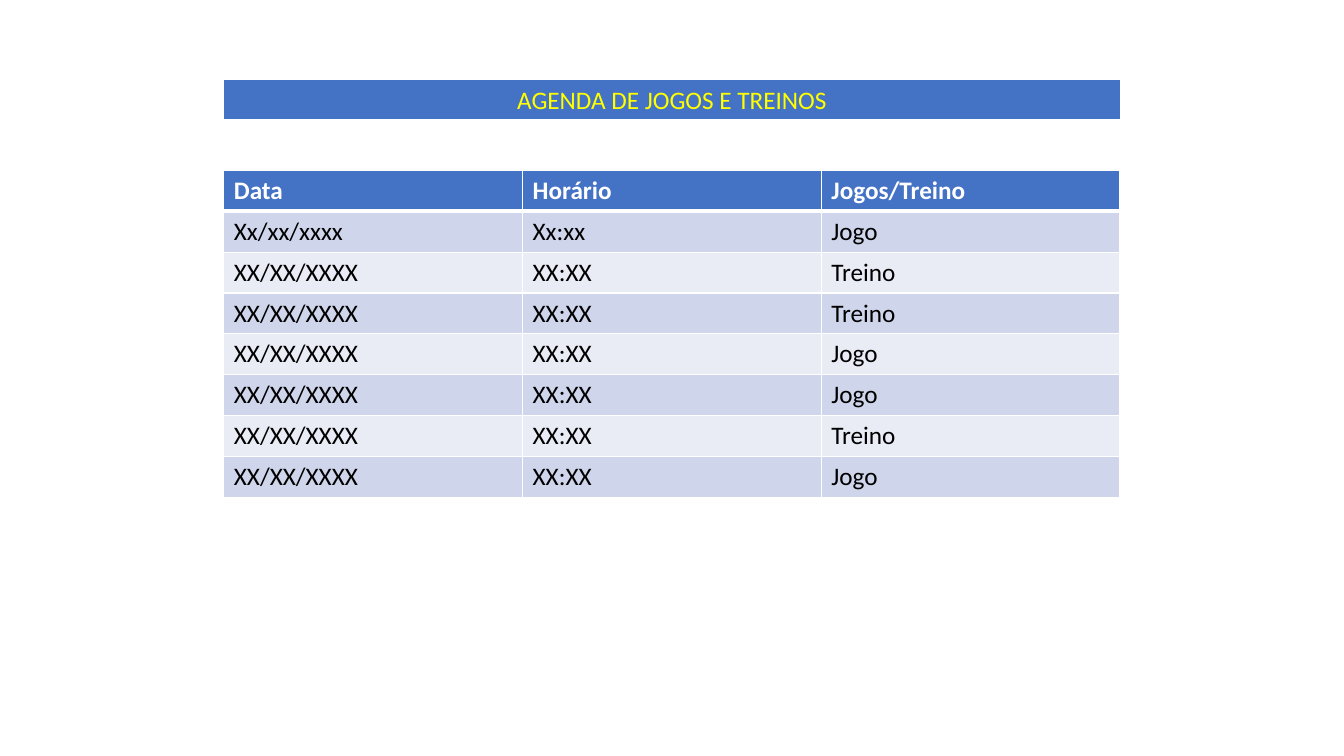
from lxml.etree import SubElement
from pptx import Presentation
from pptx.dml.color import RGBColor
from pptx.enum.text import MSO_ANCHOR, MSO_AUTO_SIZE, PP_ALIGN
from pptx.oxml import parse_xml
from pptx.oxml.ns import nsdecls, qn
from pptx.util import Inches, Pt

COLORS = {"blue": "4472C4", "odd": "CFD5EA", "even": "E9EBF5",
          "white": "FFFFFF", "black": "000000", "yellow": "FFFF00"}
ROW_HEIGHT = 0.405
HEADINGS = ("Data", "Horário", "Jogos/Treino")
FIRST_ENTRY = ("Xx/xx/xxxx", "Xx:xx", "Jogo")
LATER_EVENTS = ("Treino", "Treino", "Jogo", "Jogo", "Treino", "Jogo")
AGENDA = [HEADINGS, FIRST_ENTRY] + [
    ("XX/XX/XXXX", "XX:XX", event) for event in LATER_EVENTS]


def format_font(font, color, bold=False):
    for key, value in {"name": "Calibri", "size": Pt(18), "bold": bold}.items():
        setattr(font, key, value)
    font.color.rgb = RGBColor.from_string(COLORS[color])


def add_borders(cell, widths):
    """Draw white cell borders; widths maps each side to points."""
    properties = cell._tc.get_or_add_tcPr()
    for index, (side, width) in enumerate(widths.items()):
        line = parse_xml(f'<a:ln{side} {nsdecls("a")} w="{Pt(width)}"/>')
        fill = SubElement(line, qn("a:solidFill"))
        SubElement(fill, qn("a:srgbClr"), val=COLORS["white"])
        properties.insert(index, line)


def add_grid(slide, rows, left, top, width):
    """Table with a blue heading row and banded entries below it."""
    columns = len(rows[0])
    grid = slide.shapes.add_table(
        len(rows), columns, Inches(left), Inches(top),
        Inches(width), Inches(ROW_HEIGHT * len(rows))).table
    grid.horz_banding = False
    for r, entry in enumerate(rows):
        heading = r == 0
        band = "blue" if heading else "odd" if r % 2 else "even"
        # The heading's thick bottom line also tops the first entry
        widths = ({"L": 1, "R": 1, "T": 1, "B": 3} if heading
                  else {"L": 1, "R": 1, "B": 1})
        for c, wording in enumerate(entry):
            cell = grid.cell(r, c)
            cell.fill.solid()
            cell.fill.fore_color.rgb = RGBColor.from_string(COLORS[band])
            add_borders(cell, widths)
            cell.text = wording
            format_font(cell.text_frame.paragraphs[0].font,
                        "white" if heading else "black", heading)


def add_heading(slide, left, top, width):
    """Blue banner with the slide title centred over it."""
    add_grid(slide, [("",)], left, top, width)
    title = slide.shapes.title
    title_width = 3.3
    box = {"left": left + (width - title_width) / 2, "top": top,
           "width": title_width, "height": 0.4}
    for key, value in box.items():
        setattr(title, key, Inches(value))
    frame = title.text_frame
    frame.text = "AGENDA DE JOGOS E TREINOS"
    layout = {"word_wrap": False, "auto_size": MSO_AUTO_SIZE.SHAPE_TO_FIT_TEXT,
              "vertical_anchor": MSO_ANCHOR.TOP}
    for key, value in layout.items():
        setattr(frame, key, value)
    paragraph = frame.paragraphs[0]
    paragraph.alignment = PP_ALIGN.CENTER
    format_font(paragraph.runs[0].font, "yellow")
    # Bring the title in front of its banner
    slide.shapes.element.append(title.element)


def main():
    deck = Presentation()
    deck.slide_width, deck.slide_height = Inches(13.33), Inches(7.5)
    slide = deck.slides.add_slide(deck.slide_layouts[5])
    left, width = 2.22, 8.89
    add_grid(slide, AGENDA, left, 1.69, width)
    add_heading(slide, left, 0.79, width)
    deck.save("out.pptx")


if __name__ == "__main__":
    main()
